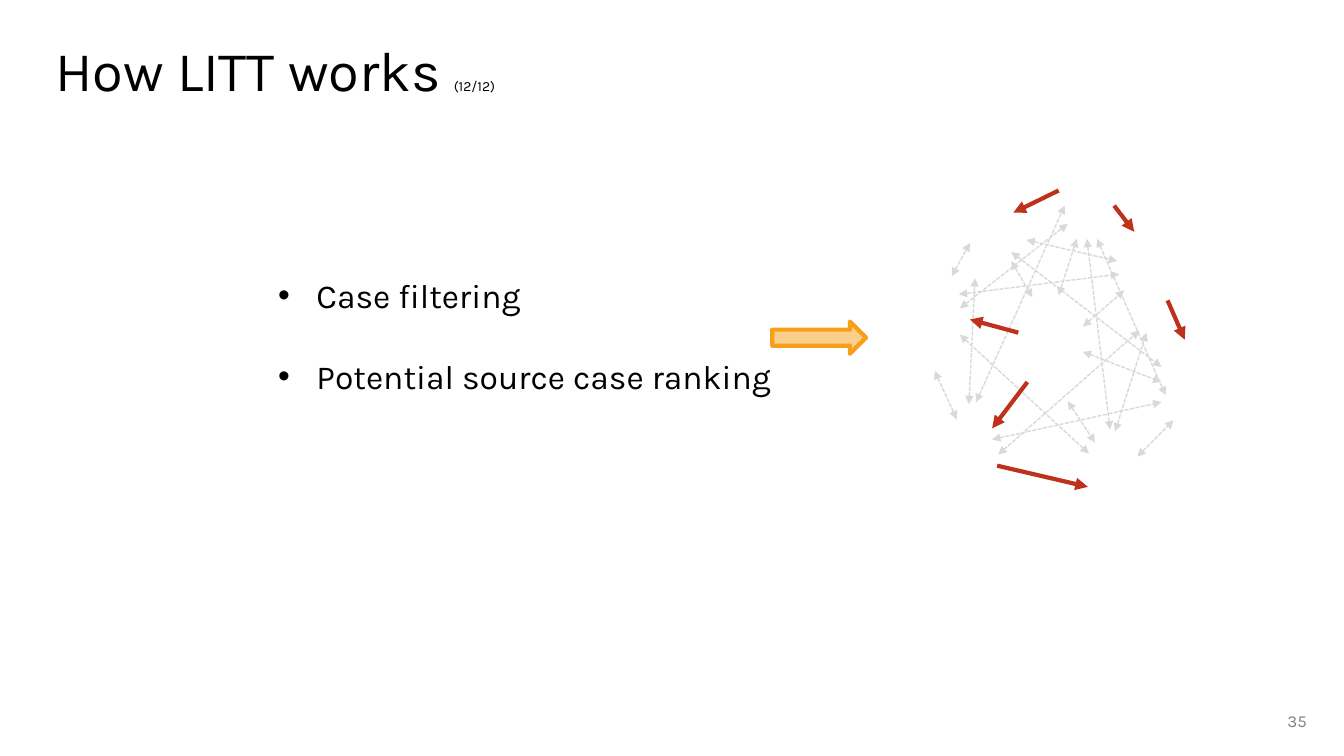
from lxml.etree import SubElement
from pptx import Presentation
from pptx.dml.color import RGBColor
from pptx.enum.dml import MSO_LINE
from pptx.enum.shapes import MSO_CONNECTOR, MSO_SHAPE
from pptx.enum.text import MSO_ANCHOR, PP_ALIGN
from pptx.oxml.ns import qn
from pptx.util import Pt

PX = 9144  # 100 px to the inch
FONT = "Karla"
BLACK = RGBColor(0x00, 0x00, 0x00)
GREY = RGBColor(0x80, 0x80, 0x80)
PALE = RGBColor(0xD9, 0xD9, 0xD9)
RED = RGBColor(0xBF, 0x31, 0x1A)
ORANGE = RGBColor(0xF6, 0xA0, 0x1A)

# x1, y1, x2, y2 inside the network's box
POSSIBLE_LINKS = [
    (123, 104, 141, 48), (147, 160, 225, 190), (132, 209, 159, 250),
    (97, 106, 76, 70), (147, 135, 188, 99), (91, 49, 181, 70),
    (201, 264, 237, 228), (63, 262, 203, 139), (151, 48, 174, 237),
    (17, 85, 35, 52), (0, 179, 22, 227), (24, 103, 183, 83),
    (25, 117, 132, 33), (41, 210, 129, 15), (34, 212, 40, 87),
    (57, 247, 225, 210), (25, 143, 153, 261), (76, 61, 225, 175),
    (161, 48, 229, 203), (179, 239, 210, 141),
]
LIKELY_LINKS = [
    (92, 190, 57, 236), (83, 141, 35, 128), (123, 0, 78, 22),
    (178, 15, 198, 41), (62, 273, 152, 294), (231, 109, 248, 148),
]


def add_text_box(slide, left, top, width, height, anchor=MSO_ANCHOR.TOP):
    box = slide.shapes.add_textbox(left * PX, top * PX, width * PX, height * PX)
    frame = box.text_frame
    frame.word_wrap = True
    frame.vertical_anchor = anchor
    return frame


def style(text, size, color=BLACK):
    text.font.name = FONT
    text.font.size = Pt(size)
    text.font.color.rgb = color


def add_title(slide, left, top, width, height):
    title = add_text_box(slide, left, top, width, height, MSO_ANCHOR.MIDDLE).paragraphs[0]
    title.line_spacing = 0.9
    for words, size in (("How LITT works ", 40), ("(12/12)", 10)):
        run = title.add_run()
        run.text = words
        style(run, size)


def add_steps(slide, left, top, width, height):
    frame = add_text_box(slide, left, top, width, height)
    frame.text = "Case filtering\nPotential source case ranking"
    for step in frame.paragraphs:
        properties = step._p.get_or_add_pPr()
        properties.set("marL", str(38 * PX))
        properties.set("indent", str(-38 * PX))
        SubElement(properties, qn("a:buFont"), typeface="Arial")
        SubElement(properties, qn("a:buChar"), char="•")
        for run in step.runs:
            style(run, 24)
    frame.paragraphs[1].space_before = Pt(29)


def add_result_arrow(slide, left, top, width, height):
    arrow = slide.shapes.add_shape(
        MSO_SHAPE.RIGHT_ARROW, left * PX, top * PX, width * PX, height * PX)
    arrow.shadow.inherit = False
    arrow.fill.solid()
    arrow.fill.fore_color.rgb = ORANGE
    color = arrow.fill._xPr.find(qn("a:solidFill"))[0]
    SubElement(color, qn("a:alpha"), val="50000")
    arrow.line.color.rgb = ORANGE
    arrow.line.width = Pt(3)


def add_link(group, ends, color, width, arrowheads, dash=None):
    link = group.shapes.add_connector(MSO_CONNECTOR.STRAIGHT, *(end * PX for end in ends))
    link.line.color.rgb = color
    link.line.width = Pt(width)
    if dash:
        link.line.dash_style = dash
    outline = link.line._get_or_add_ln()
    for arrowhead in arrowheads:
        SubElement(outline, qn(arrowhead), type="triangle")
    SubElement(link._element.spPr, qn("a:effectLst"))


def add_network(slide, left, top):
    group = slide.shapes.add_group_shape()

    def place(link):
        x1, y1, x2, y2 = link
        return left + x1, top + y1, left + x2, top + y2

    for link in POSSIBLE_LINKS:
        add_link(group, place(link), PALE, 1, ("a:headEnd", "a:tailEnd"), MSO_LINE.SQUARE_DOT)
    for link in LIKELY_LINKS:
        add_link(group, place(link), RED, 3, ("a:tailEnd",))


def add_page_number(slide, left, top, width, height):
    number = add_text_box(slide, left, top, width, height, MSO_ANCHOR.MIDDLE).paragraphs[0]
    number.text = "35"
    number.alignment = PP_ALIGN.RIGHT
    style(number.runs[0], 12, GREY)


def main():
    deck = Presentation()
    deck.slide_width, deck.slide_height = 1333 * PX, 750 * PX
    slide = deck.slides.add_slide(deck.slide_layouts[6])
    add_title(slide, 45, 0, 1150, 145)
    add_steps(slide, 266, 268, 518, 131)
    add_result_arrow(slide, 766, 319, 93, 32)
    add_network(slide, 927, 189)
    add_page_number(slide, 1006, 695, 300, 40)
    deck.save("out.pptx")


if __name__ == "__main__":
    main()
